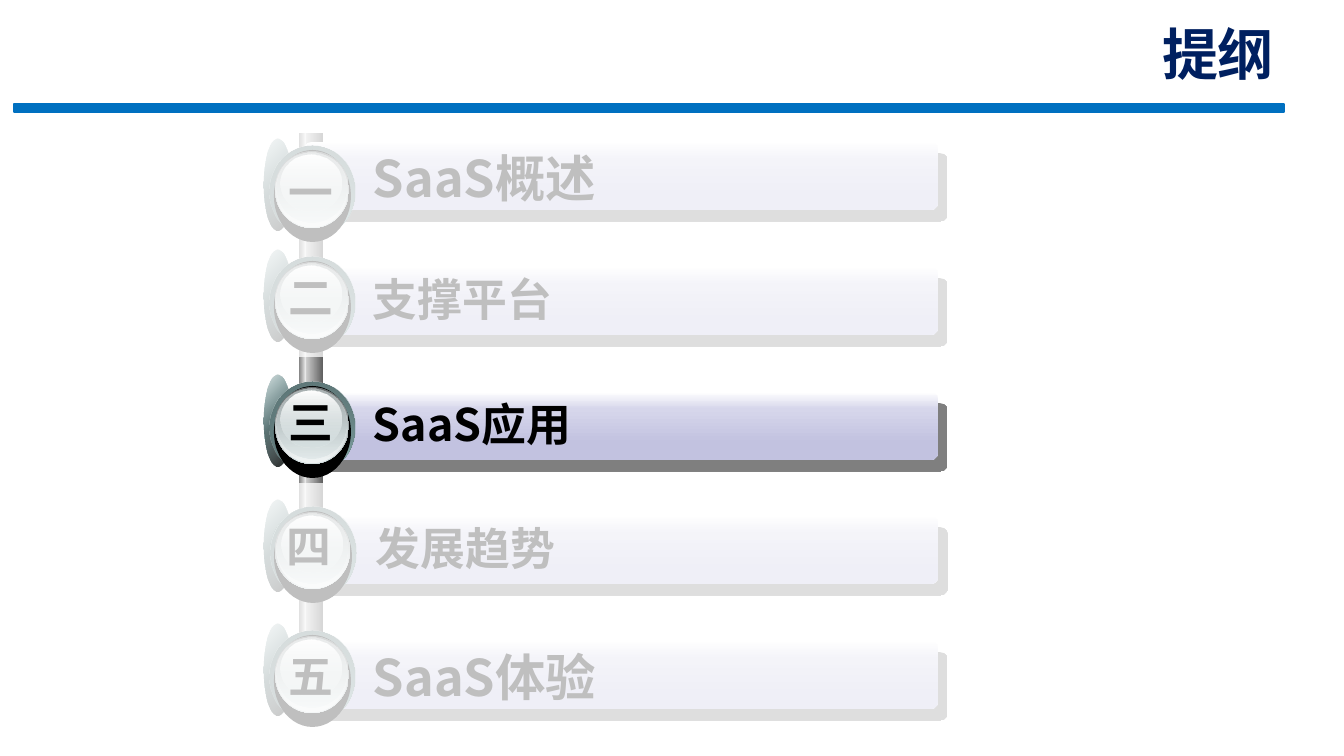
from lxml import etree
from pptx import Presentation
from pptx import util as u
from pptx.dml.color import RGBColor
from pptx.enum import shapes, text
from pptx.oxml import ns

RECT = shapes.MSO_SHAPE.RECTANGLE
ROUNDED = shapes.MSO_SHAPE.ROUNDED_RECTANGLE
OVAL = shapes.MSO_SHAPE.OVAL
EMU_PER_PX = 914400 / 100.8


def px(value):
    return u.Emu(round(value * EMU_PER_PX))


def color(hex_string):
    return RGBColor.from_string(hex_string)


def child(parent, tag, **attributes):
    values = {name: str(value) for name, value in attributes.items()}
    return etree.SubElement(parent, ns.qn(tag), values)


def color_node(parent, hex_string, alpha=100):
    node = child(parent, "a:srgbClr", val=hex_string)
    if alpha < 100:
        child(node, "a:alpha", val=alpha * 1000)


class OutlineSlide:
    font = "Noto Sans CJK SC"
    ink = "000000"

    def __init__(self, presentation):
        self.slide = presentation.slides.add_slide(presentation.slide_layouts[5])
        self.target = self.slide.shapes

    def begin_group(self):
        self.target = self.slide.shapes.add_group_shape().shapes

    def end_group(self):
        self.target = self.slide.shapes

    def run(self, paragraph, words, size, hex_string, latin):
        run = paragraph.add_run()
        run.text = words
        run.font.size = u.Pt(size)
        run.font.bold = True
        run.font.name = latin
        run.font.color.rgb = color(hex_string)
        child(run.font._element, "a:ea", typeface=self.font)

    def title(self, box, words):
        shape = self.slide.shapes.title
        shape.left, shape.top, shape.width, shape.height = map(px, box)
        frame = shape.text_frame
        frame.auto_size = text.MSO_AUTO_SIZE.NONE
        frame.vertical_anchor = text.MSO_ANCHOR.BOTTOM
        paragraph = frame.paragraphs[0]
        paragraph.alignment = text.PP_ALIGN.RIGHT
        self.run(paragraph, words, 40, "002060", "Roboto")

    def label(self, box, words, size=32, wrap=True):
        frame = self.target.add_textbox(*map(px, box)).text_frame
        frame.word_wrap = wrap
        frame.auto_size = text.MSO_AUTO_SIZE.SHAPE_TO_FIT_TEXT
        self.run(frame.paragraphs[0], words, size, self.ink, self.font)

    def solid(self, kind, box, hex_string, alpha=100):
        shape = self.target.add_shape(kind, *map(px, box))
        shape.shadow.inherit = False
        shape.line.fill.background()
        shape.fill.solid()
        shape.fill.fore_color.rgb = color(hex_string)
        if alpha < 100:
            fill = shape._element.spPr.find(ns.qn("a:solidFill"))
            child(fill[0], "a:alpha", val=alpha * 1000)
        return shape

    def gradient(self, kind, box, stops, angle=90):
        shape = self.solid(kind, box, "FFFFFF")
        properties = shape._element.spPr
        fill = etree.Element(ns.qn("a:gradFill"), rotWithShape="1")
        stop_list = child(fill, "a:gsLst")
        for position, *paint in stops:
            color_node(child(stop_list, "a:gs", pos=position * 1000), *paint)
        child(fill, "a:lin", ang=angle * 60000, scaled=0)
        properties.replace(properties.find(ns.qn("a:solidFill")), fill)
        return shape

    def bar(self, box):
        stops = [(0, "FFFFFF"), (25, "D6D6EB"), (75, "C2C2E0")]
        shape = self.gradient(ROUNDED, box, stops)
        shape.adjustments[0] = 0.109
        effects = shape._element.spPr.find(ns.qn("a:effectLst"))
        shadow = child(effects, "a:outerShdw", blurRad=0, dist=u.Pt(10.6),
                       dir=49 * 60000, algn="ctr", rotWithShape=0)
        color_node(shadow, "000000", 50)

    def medallion(self, top, extra):
        for left, drop, width, height, stops, angle in MEDALLION:
            grown = width if left == SIDE_LEFT else width + extra
            box = (left, top + drop, grown, height)
            if stops:
                self.gradient(OVAL, box, stops, angle)
            else:
                self.solid(OVAL, box, "000000")


SIDE_LEFT = 264
MEDALLION = [
    (SIDE_LEFT, 0, 28, 92, [(0, "FFFFFF"), (50, "83A6A7"), (100, "FFFFFF")], 45),
    (SIDE_LEFT, 0, 28, 92, [(0, "83A6A7", 32), (100, "000000", 90)], 45),
    (270, 7, 85, 92, [(0, "475A5A"), (50, "83A6A7"), (100, "475A5A")], 315),
    (270, 7, 85, 92, [(0, "53696A"), (100, "83A6A7", 0)], 45),
    (274, 11, 77, 92, None, 0),
    (275, 12, 74, 77, [(0, "636869"), (100, "D6E1E2")], 90),
    (276, 13, 72, 75, [(0, "D6E1E2", 0), (100, "F1F5F5")], 90),
    (277, 14, 69, 70, [(0, "AAB2B3"), (100, "D6E1E2", 48)], 90),
    (281, 16, 60, 57, [(0, "FFFFFF"), (100, "D6E1E2", 38)], 90),
]
RAILS = [
    ((23, 409, 559, 7), [(0, "808080"), (100, "ECECEC")]),
    ((35, 404, 559, 17), [(0, "CFCFCF"), (100, "5F5F5F")]),
]
BAR_RIGHT = 938
FIRST_TOP, PITCH = 142, 124.75
# numeral, topic, size, label height, medallion rise, numeral left and drop, bar left, label left, extra width
TOPICS = [
    ("一", "SaaS概述", 36, 129, 3, 279, 18, 304, 363, 0),
    ("二", "支撑平台", 32, 65, 17, 279, -2, 304, 363, 0),
    ("三", "SaaS应用", 32, 65, 17, 279, -2, 304, 363, 0),
    ("四", "发展趋势", 32, 65, 16, 277, -2, 295, 366, 1),
    ("五", "SaaS体验", 36, 126, 17, 279, 3, 304, 363, 0),
]
VEILS = [(160, 483, 913, 253), (154, 128, 913, 229)]


def main():
    presentation = Presentation()
    presentation.slide_width, presentation.slide_height = px(1344), px(756)
    outline = OutlineSlide(presentation)

    rule = outline.solid(RECT, (14, 104, 1270, 8), "0070C0")
    rule.line.color.rgb = color("0070C0")
    rule.line.width = u.Pt(1)
    outline.title((646, 34, 638, 58), "提纲")

    outline.begin_group()
    for box, stops in RAILS:
        outline.gradient(RECT, box, stops).rotation = 270

    for index, topic in enumerate(TOPICS):
        (numeral, words, size, height, rise, numeral_left, drop,
         bar_left, label_left, extra) = topic
        top = round(FIRST_TOP + PITCH * index)
        outline.begin_group()
        outline.bar((bar_left, top, BAR_RIGHT - bar_left, 68))
        outline.label((label_left, top, 521, height), words, size)
        outline.medallion(top - rise, extra)
        outline.label((numeral_left, top + drop, 64, 65), numeral, wrap=False)
    outline.end_group()

    for box in VEILS:
        outline.solid(RECT, box, "FFFFFF", 75)

    presentation.save("out.pptx")


if __name__ == "__main__":
    main()
